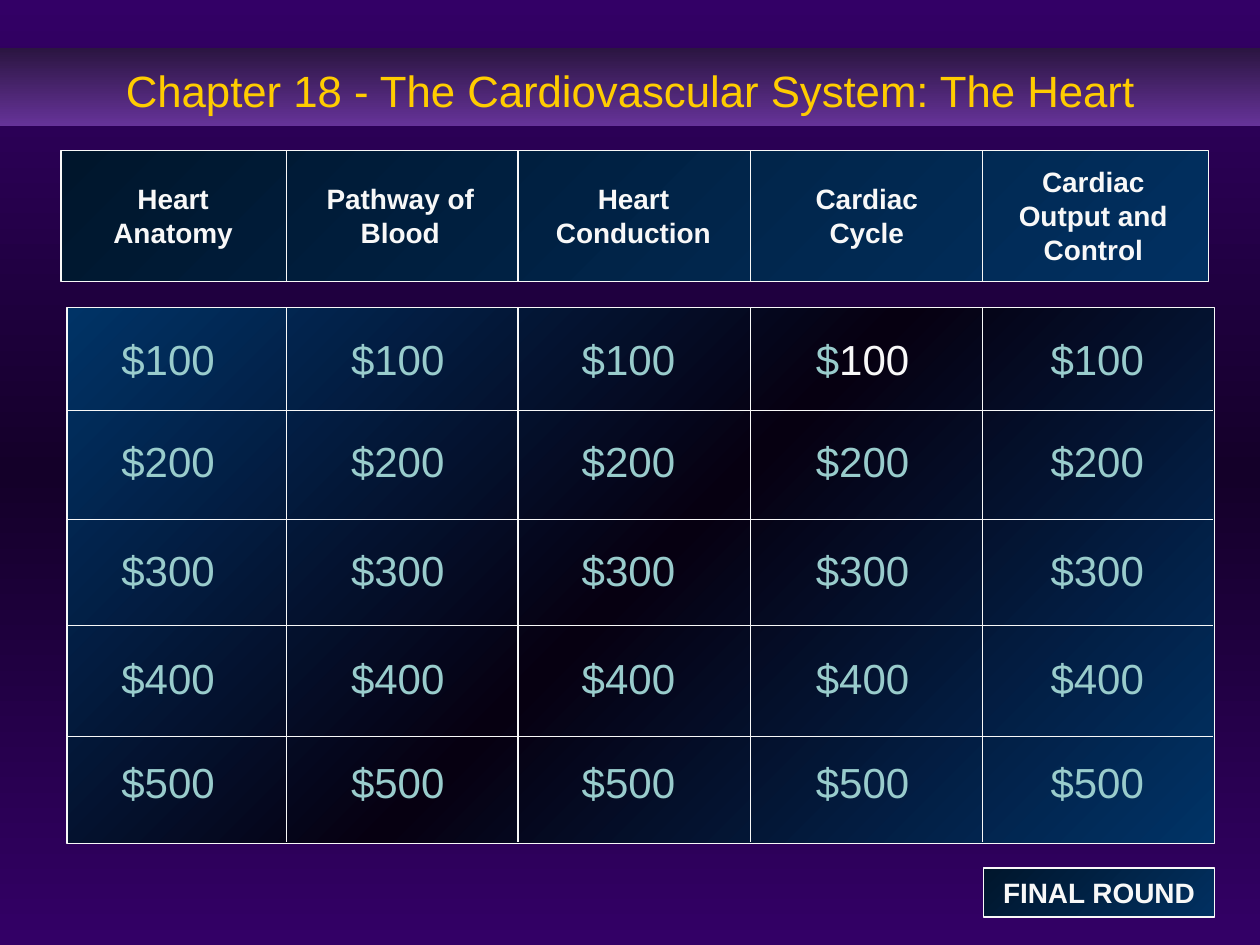
from dataclasses import dataclass

from lxml.etree import SubElement
from pptx import Presentation
from pptx.dml.color import RGBColor
from pptx.enum.shapes import MSO_CONNECTOR, MSO_SHAPE
from pptx.enum.text import MSO_ANCHOR, PP_ALIGN
from pptx.oxml.ns import qn
from pptx.util import Cm, Pt


@dataclass(frozen=True)
class Theme:
    font: str = "Arial"
    title_size: int = 25
    money_size: int = 24
    label_size: int = 16
    rule_width: float = 0.75
    gold: str = "FFCC00"
    white: str = "F8F8F8"
    teal: str = "99CCCC"
    backdrop: tuple = ("330066", "140029", "330066")
    banner: tuple = ("2B1541", "663399")
    board: tuple = ("003366", "060011", "003366")
    label: tuple = ("013061", "00162C")


theme = Theme()


def set_gradient(fill, element, colors, angle):
    """Spread the colors evenly over the fill held by element; angle is clockwise."""
    fill.gradient()
    fill.gradient_angle = 360 - angle
    stops = element.find(".//" + qn("a:gsLst"))
    for stop in list(stops):
        stops.remove(stop)
    for i, color in enumerate(colors):
        position = str(100000 * i // (len(colors) - 1))
        stop = SubElement(stops, qn("a:gs"), pos=position)
        SubElement(stop, qn("a:srgbClr"), val=color)


def write(sp, text, size, color, bold=False, spacing=None, wrap=True, tail="", tail_color=None):
    """Center text in a shape; tail continues the line in its own color."""
    tf = sp.text_frame
    tf.word_wrap = wrap
    tf.vertical_anchor = MSO_ANCHOR.MIDDLE
    p = tf.paragraphs[0]
    p.alignment = PP_ALIGN.CENTER
    if spacing:
        p.line_spacing = spacing
    for part, part_color in ((text, color), (tail, tail_color)):
        if part:
            r = p.add_run()
            r.text = part
            r.font.name = theme.font
            r.font.size = Pt(size)
            r.font.bold = bold
            r.font.color.rgb = RGBColor.from_string(part_color)


prs = Presentation()
prs.slide_width, prs.slide_height = Cm(25.4), Cm(19.05)
s = prs.slides.add_slide(prs.slide_layouts[6])
set_gradient(s.background.fill, s.element, theme.backdrop, 90)

# Panels: left, top, width, height, colors, angle, outlined
panels = {
    "board": (1.35, 6.2, 23.14, 10.8, theme.board, 225, True),
    "title": (0, 0.97, 25.4, 1.58, theme.banner, 90, False),
    "categories": (1.23, 3.03, 23.14, 2.64, theme.label, 225, True),
    "final round": (19.82, 17.5, 4.67, 0.99, theme.label, 225, True),
}
shapes = {}
for key, (left, top, width, height, colors, angle, outlined) in panels.items():
    sp = s.shapes.add_shape(MSO_SHAPE.RECTANGLE, Cm(left), Cm(top), Cm(width), Cm(height))
    sp.shadow.inherit = False
    set_gradient(sp.fill, sp.element, colors, angle)
    if outlined:
        sp.line.color.rgb = RGBColor.from_string(theme.white)
        sp.line.width = Pt(theme.rule_width)
    else:
        sp.line.fill.background()
    shapes[key] = sp

write(shapes["title"], "Chapter 18 - The Cardiovascular System: The Heart",
      size=theme.title_size, color=theme.gold, spacing=1.1)
write(shapes["final round"], "FINAL ROUND",
      size=theme.label_size, color=theme.white, bold=True, wrap=False)

# Dollar amounts
amount_lefts = (1.88, 6.51, 11.16, 15.88, 20.61)
amount_tops = (6.6, 8.66, 10.85, 13.03, 15.12)
for col, left in enumerate(amount_lefts):
    for row, top in enumerate(amount_tops):
        sp = s.shapes.add_textbox(Cm(left), Cm(top), Cm(3.02), Cm(1.27))
        amount = str(100 * (row + 1))
        if (row, col) == (0, 3):
            write(sp, "$", size=theme.money_size, color=theme.teal,
                  tail=amount, tail_color=theme.white)
        else:
            write(sp, "$" + amount, size=theme.money_size, color=theme.teal)

# Category names: text, left, width, height
categories = (
    ("Heart Anatomy", 1.37, 4.24, 1.63),
    ("Pathway of Blood", 5.95, 4.24, 1.63),
    ("Heart Conduction", 10.65, 4.24, 1.63),
    ("Cardiac Cycle", 15.47, 4.01, 1.63),
    ("Cardiac Output and Control", 19.92, 4.24, 2.29),
)
category_middle = 4.34
for text, left, width, height in categories:
    sp = s.shapes.add_textbox(Cm(left), Cm(category_middle - height / 2), Cm(width), Cm(height))
    write(sp, text, size=theme.label_size, color=theme.white, bold=True)

# Grid rules
column_xs = (5.78, 10.44, 15.13, 19.8)
row_ys = (8.28, 10.47, 12.61, 14.84)
rules = [(x, 3.05, x, 5.66) for x in column_xs]
rules += [(x, 6.2, x, 16.97) for x in column_xs]
rules += [(1.37, y, 24.46, y) for y in row_ys]
for ends in rules:
    rule = s.shapes.add_connector(MSO_CONNECTOR.STRAIGHT, *map(Cm, ends))
    rule.line.color.rgb = RGBColor.from_string(theme.white)
    rule.line.width = Pt(theme.rule_width)
    SubElement(rule.element.spPr, qn("a:effectLst"))

prs.save("out.pptx")
